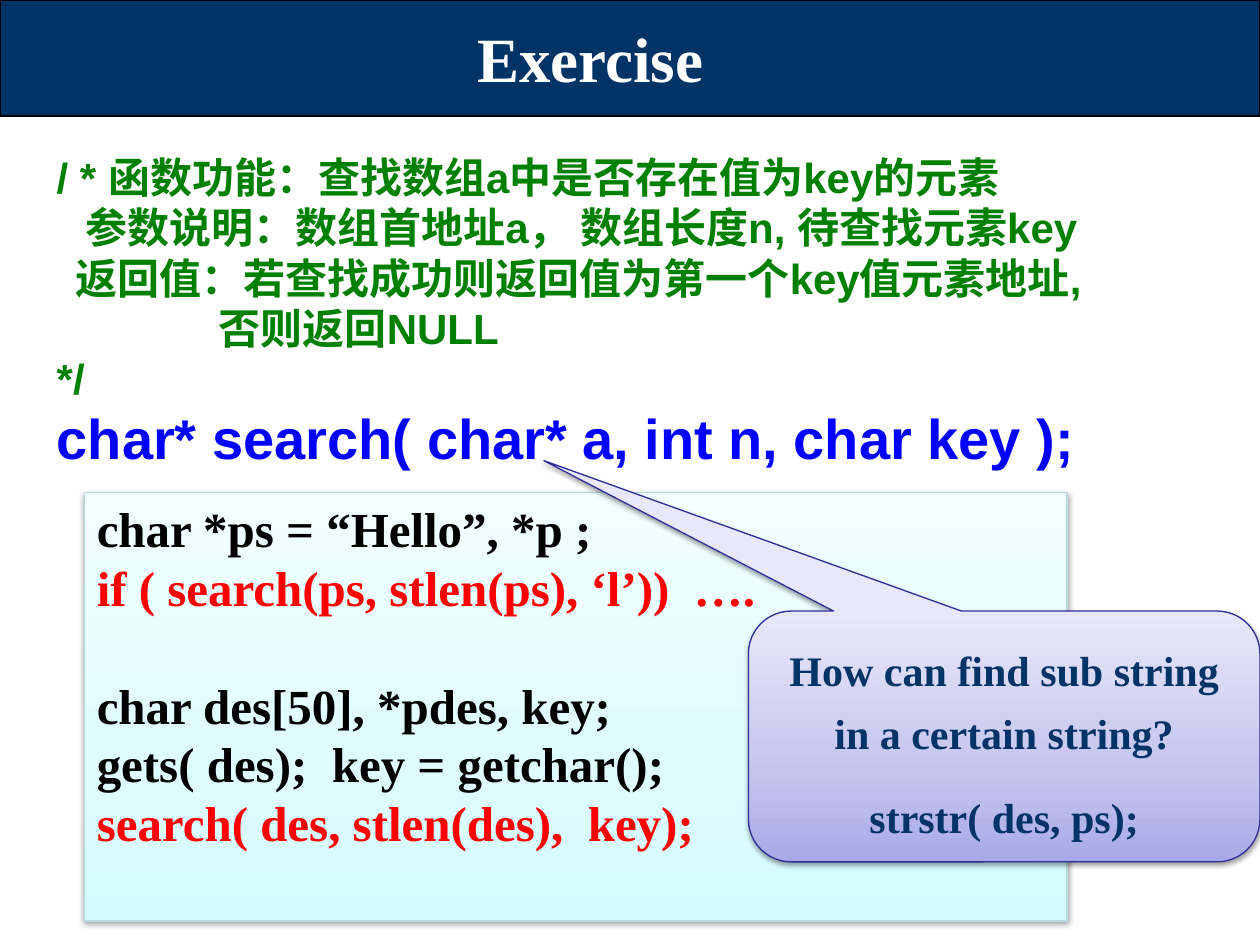
"""Build the string search exercise slide."""
from dataclasses import dataclass

from lxml.etree import SubElement
from pptx import Presentation
from pptx.dml.color import RGBColor
from pptx.enum.shapes import MSO_SHAPE as Shape
from pptx.enum.text import MSO_ANCHOR as Anchor, MSO_AUTO_SIZE as AutoSize, PP_ALIGN as Align
from pptx.oxml.ns import qn
from pptx.util import Inches, Pt

COLORS = {
    "navy": "003366", "white": "FFFFFF", "black": "000000",
    "green": "008000", "blue": "0000FF", "red": "FF0000",
    "code_edge": "B6DCDF", "callout_edge": "2F2F98",
}
SERIF, SANS = "Times New Roman", "Arial"


@dataclass(frozen=True)
class Line:
    """One paragraph of text and its look."""
    text: str
    size: int
    color: str
    font: str = SERIF
    before: float = 0
    spacing: float = 1.0
    align: Align = Align.LEFT


@dataclass(frozen=True)
class Panel:
    """A shaded box with a soft shadow."""
    kind: Shape
    box: tuple[float, float, float, float]
    stops: tuple[str, str, str]
    edge: str
    anchor: Anchor
    lines: list[Line]
    adjustments: tuple[float, ...] = ()


TITLE = [Line("Exercise", 36, "white", align=Align.CENTER)]
COMMENT = [
    "/ * 函数功能：查找数组a中是否存在值为key的元素",
    "   参数说明：数组首地址a， 数组长度n, 待查找元素key",
    "  返回值：若查找成功则返回值为第一个key值元素地址,",
    "                 否则返回NULL",
    "*/",
]
BODY = [Line(text, 24, "green", SANS) for text in COMMENT]
BODY.append(Line("char* search( char* a, int n, char key );", 32, "blue", SANS))

PANELS = [
    Panel(Shape.RECTANGLE, (0.67, 3.91, 7.8, 3.4), ("D3FBFF", "DFFCFF", "F2FEFF"),
          "code_edge", Anchor.TOP, [
              Line("char *ps = “Hello”, *p ;", 28, "black"),
              Line("if ( search(ps, stlen(ps), ‘l’))  ….", 28, "red"),
              Line("char des[50], *pdes, key;", 28, "black", before=33.5),
              Line("gets( des);  key = getchar();", 28, "black"),
              Line("search( des, stlen(des),  key);", 28, "red"),
          ]),
    Panel(Shape.ROUNDED_RECTANGULAR_CALLOUT, (5.94, 4.85, 4.06, 1.99),
          ("A9A9E9", "C4C4EF", "E8E8FA"), "callout_edge", Anchor.MIDDLE, [
              Line("How can find sub string in a certain string?", 24, "navy",
                   spacing=1.25, align=Align.CENTER),
              Line("strstr( des, ps);", 24, "navy", before=12, spacing=1.25,
                   align=Align.CENTER),
          ], (-0.9, -1.1, 0.17)),
]


def color(name: str) -> RGBColor:
    """Return a named colour."""
    return RGBColor.from_string(COLORS[name])


def place(shape, box: tuple[float, float, float, float]) -> None:
    """Move and size a shape, in inches."""
    shape.left, shape.top, shape.width, shape.height = map(Inches, box)


def write(shape, lines: list[Line], anchor: Anchor) -> None:
    """Fill a shape with bold unbulleted lines."""
    frame = shape.text_frame
    frame.word_wrap = True
    frame.auto_size = AutoSize.NONE
    frame.vertical_anchor = anchor
    for index, line in enumerate(lines):
        para = frame.paragraphs[0] if index == 0 else frame.add_paragraph()
        para.text = line.text
        para.alignment = line.align
        para.line_spacing = line.spacing
        para.space_before = Pt(line.before)
        properties = para._p.get_or_add_pPr()
        properties.set("marL", "0")
        properties.set("indent", "0")
        SubElement(properties, qn("a:buNone"))
        para.font.name = line.font
        para.font.size = Pt(line.size)
        para.font.bold = True
        para.font.color.rgb = color(line.color)


def add_panel(slide, panel: Panel) -> None:
    """Draw a panel with its gradient, edge, shadow and text."""
    shape = slide.shapes.add_shape(panel.kind, *map(Inches, panel.box))
    for index, value in enumerate(panel.adjustments):
        shape.adjustments[index] = value
    shape.fill.gradient()
    shape.fill.gradient_angle = 90
    stops = shape.element.spPr.find(".//" + qn("a:gsLst"))
    stops.clear()
    for position, value in zip((0, 35, 100), panel.stops):
        stop = SubElement(stops, qn("a:gs"), pos=str(position * 1000))
        SubElement(stop, qn("a:srgbClr"), val=value)
    shape.line.color.rgb = color(panel.edge)
    shape.line.width = Pt(0.75)
    shape.shadow.inherit = False
    effects = shape.element.spPr.find(qn("a:effectLst"))
    shadow = SubElement(effects, qn("a:outerShdw"), blurRad=str(Pt(3.1)),
                        dist=str(Pt(1.6)), dir="5400000", rotWithShape="0")
    shade = SubElement(shadow, qn("a:srgbClr"), val=COLORS["black"])
    SubElement(shade, qn("a:alpha"), val="38000")
    write(shape, panel.lines, panel.anchor)


def add_band(slide) -> None:
    """Draw the dark band behind the title."""
    band = slide.shapes.add_shape(Shape.RECTANGLE, 0, 0, Inches(10), Inches(0.92))
    band.shadow.inherit = False
    band.fill.solid()
    band.fill.fore_color.rgb = color("navy")
    band.line.color.rgb = color("black")
    band.line.width = Pt(0.75)
    slide.shapes.title.element.addprevious(band.element)


def main() -> None:
    """Build and save the deck."""
    deck = Presentation()
    deck.slide_width, deck.slide_height = Inches(10), Inches(7.5)
    slide = deck.slides.add_slide(deck.slide_layouts[1])
    title, body = slide.shapes.title, slide.placeholders[1]
    add_band(slide)
    place(title, (0.31, 0.08, 8.75, 0.75))
    write(title, TITLE, Anchor.MIDDLE)
    place(body, (0.35, 1.15, 9.37, 2.66))
    write(body, BODY, Anchor.TOP)
    for panel in PANELS:
        add_panel(slide, panel)
    deck.save("out.pptx")


if __name__ == "__main__":
    main()
